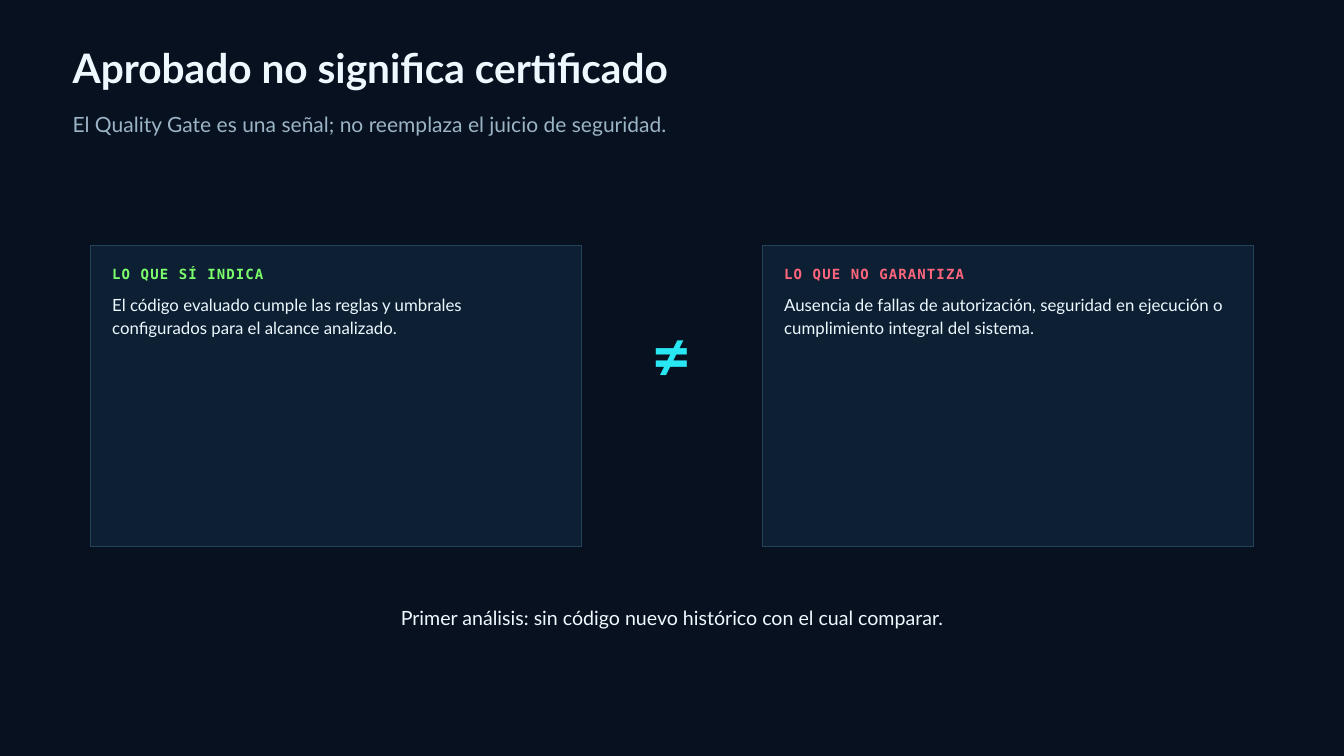
import pptx
import pptx.dml.color
import pptx.enum.shapes
import pptx.enum.text
import pptx.util
from dataclasses import dataclass
from pptx.util import Inches


@dataclass(frozen=True)
class Theme:
    background: str = "07111F"
    panel: str = "0D2033"
    border: str = "23445B"
    text: str = "EDF8FF"
    muted: str = "9BB4C6"
    accent: str = "28E7F2"
    positive: str = "7CFF6B"
    negative: str = "FF667D"
    sans: str = "Lato"
    mono: str = "DejaVu Sans Mono"
    title_size: float = 43.5
    subtitle_size: float = 22.5
    label_size: float = 15
    body_size: float = 18
    symbol_size: float = 75
    note_size: float = 21


THEME = Theme()
CENTER = pptx.enum.text.PP_ALIGN.CENTER


def rgb(value):
    return pptx.dml.color.RGBColor.from_string(value)


def add_text(shapes, box, text, size, leading, color=THEME.text,
             align=None, spacing=None, **font_values):
    """Place one paragraph in a box given as left, top, width, height in inches."""
    shape = shapes.add_textbox(*map(Inches, box))
    frame_values = {
        "word_wrap": True,
        "auto_size": pptx.enum.text.MSO_AUTO_SIZE.SHAPE_TO_FIT_TEXT,
        "margin_left": 0, "margin_top": 0, "margin_right": 0, "margin_bottom": 0,
    }
    for key, value in frame_values.items():
        setattr(shape.text_frame, key, value)

    paragraph = shape.text_frame.paragraphs[0]
    paragraph.line_spacing = pptx.util.Pt(leading)
    paragraph.alignment = align
    run = paragraph.add_run()
    run.text = text
    font_values = {"name": THEME.sans, "size": pptx.util.Pt(size), **font_values}
    for key, value in font_values.items():
        setattr(run.font, key, value)
    run.font.color.rgb = rgb(color)
    if spacing:
        run._r.get_or_add_rPr().set("spc", str(round(spacing * 100)))


def add_header(slide, box, title, subtitle):
    left, top, width, _ = box
    add_text(slide.shapes, (left, top, width, 0.76), title,
             THEME.title_size, 47, bold=True)
    add_text(slide.shapes, (left, top + 0.91, width, 0.4), subtitle,
             THEME.subtitle_size, 30.4, THEME.muted)


def add_card(slide, box, label, label_color, body):
    left, top, width, _ = box
    shapes = slide.shapes.add_group_shape().shapes
    panel = shapes.add_shape(pptx.enum.shapes.MSO_SHAPE.RECTANGLE, *map(Inches, box))
    panel.shadow.inherit = False
    panel.fill.solid()
    panel.fill.fore_color.rgb = rgb(THEME.panel)
    panel.line.color.rgb = rgb(THEME.border)
    panel.line.width = pptx.util.Pt(1.5)

    padding = 0.32
    inner_left, inner_width = left + padding, width - 2 * padding
    add_text(shapes, (inner_left, top + 0.26, inner_width, 0.27), label,
             THEME.label_size, 21, label_color, spacing=1.2,
             name=THEME.mono, bold=True)
    add_text(shapes, (inner_left, top + 0.7, inner_width, 0.65), body,
             THEME.body_size, 24.3)


def add_comparison(slide, box, symbol, cards):
    """Put a card at each end of the box and the symbol in the gap."""
    left, top, width, height = box
    card_width = 7.3
    for index, card in enumerate(cards):
        card_left = left + index * (width - card_width)
        add_card(slide, (card_left, top, card_width, height), *card)
    symbol_width = 2.08
    add_text(slide.shapes,
             (left + (width - symbol_width) / 2, top + 1.17, symbol_width, 1.27),
             symbol, THEME.symbol_size, 76.5, THEME.accent, CENTER, bold=True)


def add_note(slide, box, text):
    add_text(slide.shapes, box, text, THEME.note_size, 28.4, align=CENTER)


def main():
    presentation = pptx.Presentation()
    presentation.slide_width = Inches(20)
    presentation.slide_height = Inches(11.25)
    slide = presentation.slides.add_slide(presentation.slide_layouts[6])
    slide.background.fill.solid()
    slide.background.fill.fore_color.rgb = rgb(THEME.background)

    # Title and subtitle
    add_header(slide, (1.08, 0.71, 15.62, 1.31),
               "Aprobado no significa certificado",
               "El Quality Gate es una señal; no reemplaza el juicio de seguridad.")

    # Two cards with the inequality sign between them
    add_comparison(slide, (1.35, 3.65, 17.3, 4.48), "≠", [
        ("LO QUE SÍ INDICA", THEME.positive,
         "El código evaluado cumple las reglas y umbrales configurados "
         "para el alcance analizado."),
        ("LO QUE NO GARANTIZA", THEME.negative,
         "Ausencia de fallas de autorización, seguridad en ejecución o "
         "cumplimiento integral del sistema."),
    ])

    # Closing note
    add_note(slide, (3.65, 8.97, 12.7, 0.38),
             "Primer análisis: sin código nuevo histórico con el cual comparar.")

    presentation.save("out.pptx")


if __name__ == "__main__":
    main()
